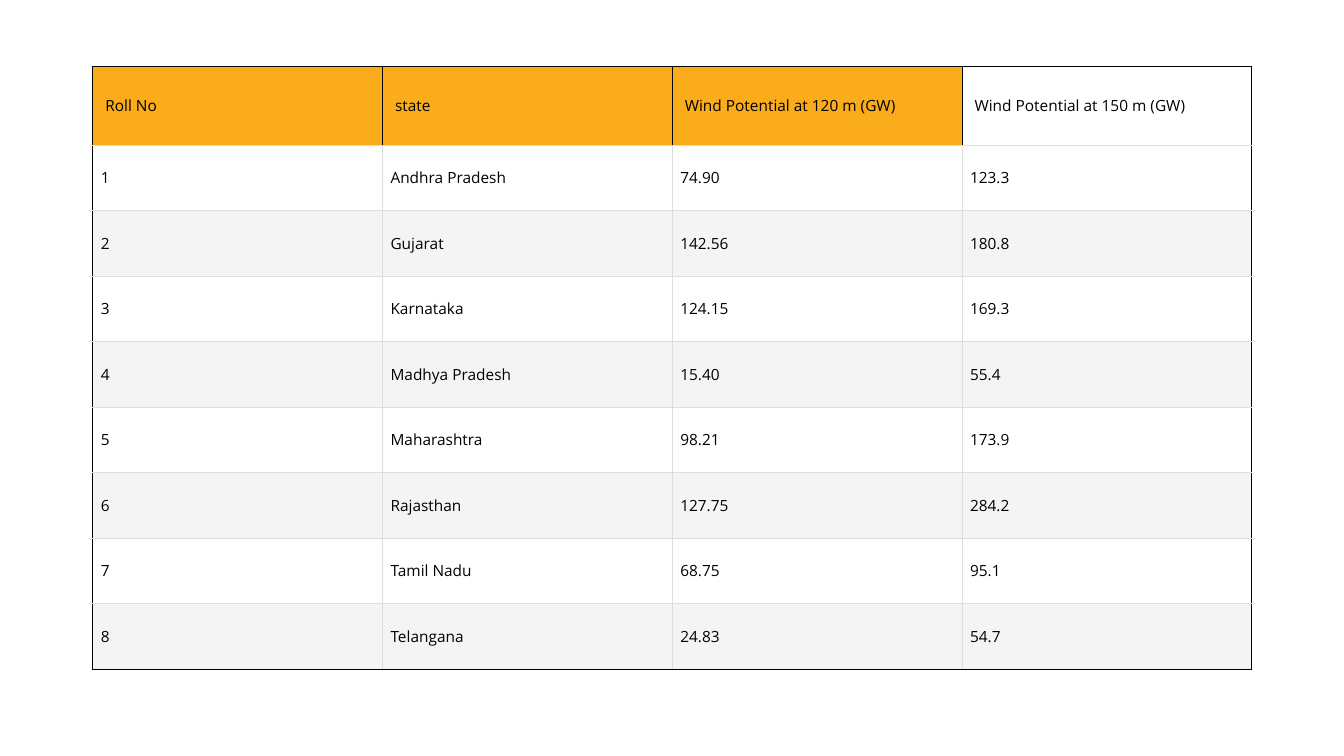
from pptx import Presentation
from pptx.dml.color import RGBColor
from pptx.enum.text import MSO_ANCHOR
from pptx.oxml.ns import qn
from pptx.util import Pt
from lxml import etree

PX = 4572  # 200 px to the inch
MIDDLE = MSO_ANCHOR.MIDDLE
BLACK = RGBColor(0x00, 0x00, 0x00)
WHITE = RGBColor(0xFF, 0xFF, 0xFF)
ORANGE = RGBColor(0xFB, 0xAC, 0x1B)
BAND = RGBColor(0xF4, 0xF4, 0xF4)
GRID = RGBColor(0xDD, 0xDD, 0xDD)

LEFT, TOP, COL_W, HEADER_H, ROW_H = 184, 132, 575, 156, 130
ROWS = [
    ("Roll No", "state", "Wind Potential at 120 m (GW)", "Wind Potential at 150 m (GW)"),
    ("1", "Andhra Pradesh", "74.90", "123.3"),
    ("2", "Gujarat", "142.56", "180.8"),
    ("3", "Karnataka", "124.15", "169.3"),
    ("4", "Madhya Pradesh", "15.40", "55.4"),
    ("5", "Maharashtra", "98.21", "173.9"),
    ("6", "Rajasthan", "127.75", "284.2"),
    ("7", "Tamil Nadu", "68.75", "95.1"),
    ("8", "Telangana", "24.83", "54.7"),
]
LAST_ROW, LAST_COL = len(ROWS) - 1, len(ROWS[0]) - 1


def add_border(cell, side, strong):
    ln = etree.SubElement(cell._tc.get_or_add_tcPr(), qn("a:" + side),
                          w=str(Pt(0.75 if strong else 0.6)))
    fill = etree.SubElement(ln, qn("a:solidFill"))
    etree.SubElement(fill, qn("a:srgbClr"), val=str(BLACK if strong else GRID))


prs = Presentation()
prs.slide_width, prs.slide_height = 2667 * PX, 1500 * PX
s = prs.slides.add_slide(prs.slide_layouts[6])

# Table frame
width = COL_W * len(ROWS[0])
height = HEADER_H + ROW_H * LAST_ROW
table = s.shapes.add_table(len(ROWS), len(ROWS[0]), LEFT * PX, TOP * PX,
                           width * PX, height * PX).table
table.first_row = False
table.horz_banding = False
for col in table.columns:
    col.width = COL_W * PX

for i, values in enumerate(ROWS):
    header = i == 0
    table.rows[i].height = (HEADER_H if header else ROW_H) * PX
    for j, value in enumerate(values):
        cell = table.cell(i, j)
        cell.vertical_anchor = MIDDLE
        cell.margin_left = cell.margin_right = (25 if header else 16) * PX
        cell.margin_top = cell.margin_bottom = (20 if header else 14) * PX

        # Black outline and header dividers, grey inner grid
        add_border(cell, "lnL", header or j == 0)
        add_border(cell, "lnR", header or j == LAST_COL)
        add_border(cell, "lnT", header)
        add_border(cell, "lnB", i == LAST_ROW)

        # Orange header except its last cell, banded body
        if header and j == LAST_COL:
            cell.fill.background()
        else:
            cell.fill.solid()
            cell.fill.fore_color.rgb = ORANGE if header else WHITE if i % 2 else BAND

        # Text
        r = cell.text_frame.paragraphs[0].add_run()
        r.text = value
        r.font.name = "Open Sans"
        r.font.size = Pt(11)
        r.font.color.rgb = BLACK

prs.save("out.pptx")
